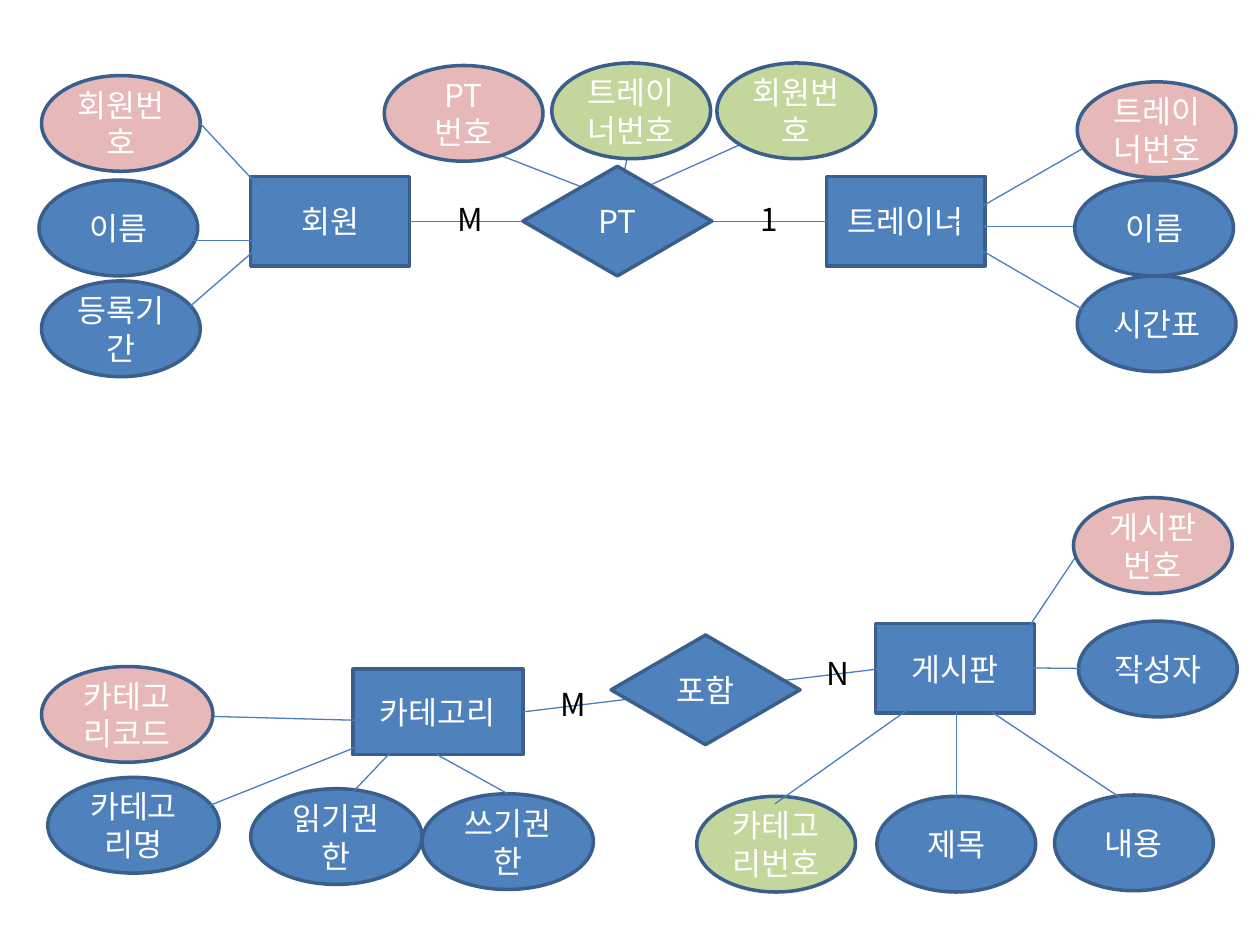
import pptx
import pptx.util
import pptx.dml.color
import pptx.enum.shapes
import pptx.enum.text
import pptx.oxml.ns
import lxml.etree

FONT = "Noto Sans CJK KR"
BLUE, PINK, GREEN = "4F81BD", "E6B9B8", "C3D69B"
EDGE, WIRE, WHITE, BLACK = "3A5F8C", "4B7EBC", "FFFFFF", "000000"
COLS, ROWS = 100, 37.5  # grid of one region
FORMS = pptx.enum.shapes.MSO_SHAPE
# preset, columns wide, rows high
KINDS = {
    "table": (FORMS.RECTANGLE, 12.6, 7.1),
    "wide table": (FORMS.RECTANGLE, 13.5, 6.8),
    "field": (FORMS.OVAL, 12.6, 7.6),
    "wide field": (FORMS.OVAL, 13.6, 7.6),
    "link": (FORMS.DIAMOND, 15, 8.7),
}

deck = pptx.Presentation()
deck.slide_width = pptx.util.Inches(10)
deck.slide_height = pptx.util.Inches(7.5)
slide = deck.slides.add_slide(deck.slide_layouts[6])


def tint(hue):
    return pptx.dml.color.RGBColor.from_string(hue)


def apply(item, values):
    for name, value in values.items():
        setattr(item, name, value)


def cell(box, col, row):
    left, top, width, height = box
    return int(left + width * col / COLS), int(top + height * row / ROWS)


def span(box, cols, rows):
    return int(box[2] * cols / COLS), int(box[3] * rows / ROWS)


def write(frame, text, hue, align, **values):
    apply(frame, values)
    para = frame.paragraphs[0]
    para.alignment = align
    run = para.add_run()
    run.text = text
    apply(run.font, {"name": FONT, "size": pptx.util.Pt(18)})
    run.font.color.rgb = tint(hue)
    props = run.font._element
    lxml.etree.SubElement(props, pptx.oxml.ns.qn("a:ea"), typeface=FONT)


def node(box, kind, text, col, row, fill=BLUE):
    form, cols, rows = KINDS[kind]
    shape = slide.shapes.add_shape(form, *cell(box, col, row), *span(box, cols, rows))
    shape.shadow.inherit = False
    shape.fill.solid()
    shape.fill.fore_color.rgb = tint(fill)
    shape.line.color.rgb = tint(EDGE)
    shape.line.width = pptx.util.Pt(2)
    write(shape.text_frame, text, WHITE, pptx.enum.text.PP_ALIGN.CENTER,
          word_wrap=True, vertical_anchor=pptx.enum.text.MSO_ANCHOR.MIDDLE)


def wire(box, col, row, to_col, to_row):
    line = slide.shapes.add_connector(
        pptx.enum.shapes.MSO_CONNECTOR.STRAIGHT,
        *cell(box, col, row), *cell(box, to_col, to_row))
    line.line.color.rgb = tint(WIRE)
    line.line.width = pptx.util.Pt(0.75)
    lxml.etree.SubElement(line._element.spPr, pptx.oxml.ns.qn("a:effectLst"))


def label(box, text, col, row, cols):
    note = slide.shapes.add_textbox(*cell(box, col, row), *span(box, cols, 4))
    write(note.text_frame, text, BLACK, pptx.enum.text.PP_ALIGN.LEFT,
          word_wrap=False, auto_size=pptx.enum.text.MSO_AUTO_SIZE.SHAPE_TO_FIT_TEXT)


def region(box, under, wires, over, labels):
    """Draw one relation diagram inside the box, back to front."""
    for draw, rows in ((node, under), (wire, wires), (node, over), (label, labels)):
        for row in rows:
            draw(box, *row)


half = deck.slide_height // 2

# Members and trainers
region(
    (0, 0, deck.slide_width, half),
    under=[
        ("table", "회원", 19.9, 14),
        ("table", "트레이너", 65.6, 14),
        ("field", "시간표", 85.5, 21.9),
        ("field", "회원번호", 3.3, 6, PINK),
        ("field", "이름", 3.1, 14.3),
        ("field", "등록기간", 3.3, 22.3),
    ],
    wires=[
        (32.5, 17.6, 65.6, 17.6),
        (48.9, 15.9, 61.6, 10.2),
        (50.1, 11.2, 49, 15.9),
        (36.8, 11.2, 48.9, 15.9),
        (75.8, 17.6, 90.8, 9),
        (75.8, 18, 90.8, 18),
        (76.6, 19.1, 90.8, 27.4),
        (15.9, 9.8, 21.1, 15.4),
        (13.6, 19.1, 21.1, 19.1),
        (13.6, 25.6, 21.1, 19.1),
    ],
    over=[
        ("field", "이름", 85.3, 14.3),
        ("link", "PT", 41.5, 13.2),
        ("field", "회원번호", 56.9, 5, GREEN),
        ("field", "트레이너번호", 43.8, 5, GREEN),
        ("field", "PT번호", 30.5, 5.2, PINK),
        ("field", "트레이너번호", 85.5, 6.5, PINK),
    ],
    labels=[("1", 59.4, 15.4, 3.4), ("M", 35.3, 15.4, 4.3)],
)

# Categories and boards
region(
    (0, half, deck.slide_width, half),
    under=[
        ("table", "게시판", 69.5, 12),
        ("field", "제목", 69.6, 25.7),
        ("field", "카테고리번호", 55.3, 25.7, GREEN),
        ("field", "내용", 83.7, 25.6),
        ("wide table", "카테고리", 28, 15.6),
        ("wide field", "카테고리명", 3.8, 24.2),
        ("wide field", "읽기권한", 19.9, 25.1),
        ("wide field", "쓰기권한", 33.5, 25.5),
        ("field", "작성자", 85.6, 11.8),
    ],
    wires=[
        (61.5, 26.3, 72.5, 18.5),
        (75.9, 18.6, 75.9, 27.2),
        (78.7, 19, 90.4, 26.8),
        (27.3, 26.1, 31.2, 22),
        (15.7, 26.8, 29.5, 21.3),
        (14.6, 19.3, 29.5, 19.7),
        (80.7, 15.5, 90.4, 15.6),
        (41.5, 19, 70.5, 15.5),
        (80.7, 13.7, 85.3, 6.8),
        (34.7, 22.4, 40.3, 25.5),
    ],
    over=[
        ("link", "포함", 48.5, 12.9),
        ("field", "게시판번호", 85.2, 2, PINK),
        ("wide field", "카테고리코드", 3.3, 15.4, PINK),
    ],
    labels=[("M", 43.5, 16.4, 4.3), ("N", 64.6, 13.9, 3.9)],
)

deck.save("out.pptx")
